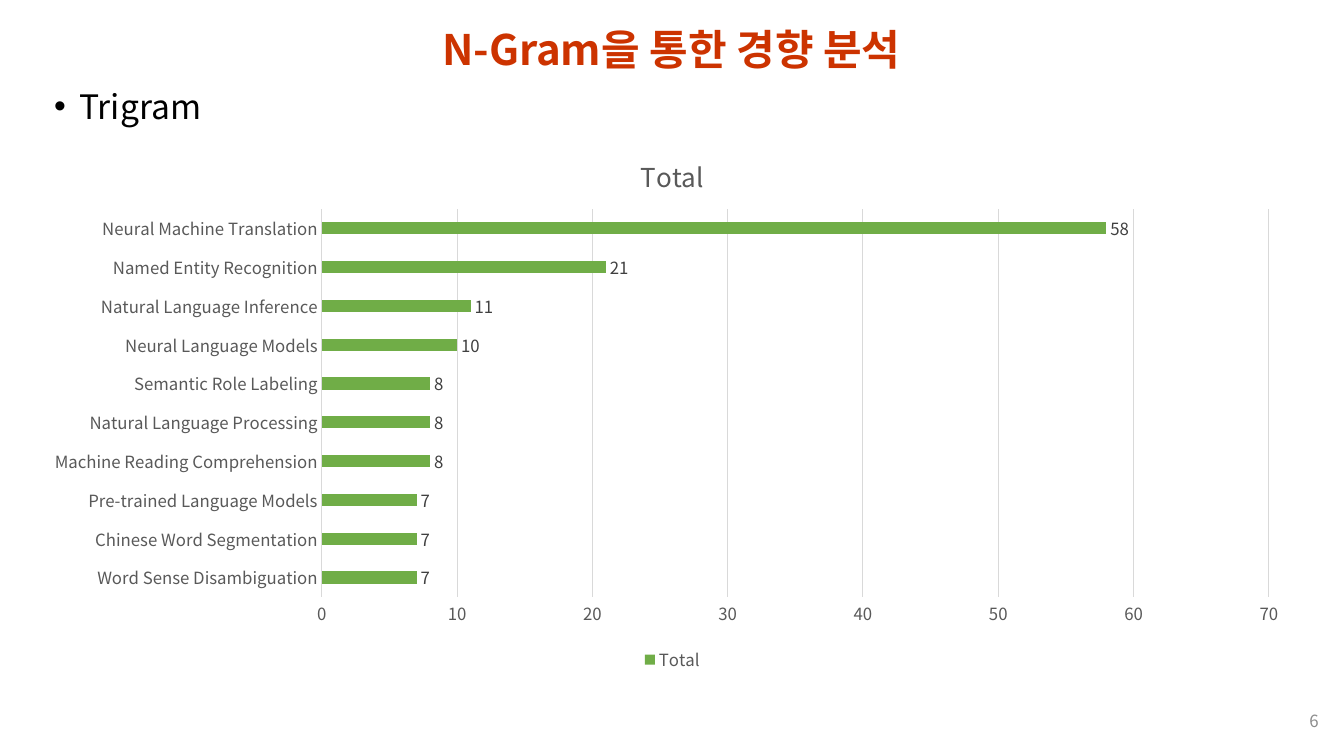
import pptx
import pptx.chart.data
import pptx.dml.color
import pptx.enum.chart
import pptx.enum.text
import pptx.oxml
import pptx.oxml.ns
import pptx.util
from dataclasses import dataclass

Pt = pptx.util.Pt
ALIGN = pptx.enum.text.PP_ALIGN
ANCHOR = pptx.enum.text.MSO_ANCHOR


@dataclass(frozen=True)
class Theme:
    font: str = "Noto Sans CJK KR"
    title_color: str = "CC3300"
    body_color: str = "000000"
    number_color: str = "8C8C8C"
    axis_color: str = "595959"
    label_color: str = "404040"
    grid_color: str = "D9D9D9"
    bar_color: str = "70AD47"
    title_size: float = 30
    body_size: float = 24
    chart_title_size: float = 18.6
    small_size: float = 12


theme = Theme()
rgb = pptx.dml.color.RGBColor.from_string


def style_font(font, size, color, bold=False):
    font.name, font.size, font.bold = theme.font, Pt(size), bold
    font.color.rgb = rgb(color)


def add_text(slide, box, text, size, color, align, anchor, bold=False):
    shape = slide.shapes.add_textbox(*map(Pt, box))
    frame = shape.text_frame
    frame.word_wrap = True
    frame.vertical_anchor = anchor
    paragraph = frame.paragraphs[0]
    paragraph.alignment = align
    run = paragraph.add_run()
    run.text = text
    style_font(run.font, size, color, bold)
    # Korean glyphs take the East Asian typeface
    east_asian = pptx.oxml.parse_xml(
        f'<a:ea {pptx.oxml.ns.nsdecls("a")} typeface="{theme.font}"/>')
    run.font._element.find(pptx.oxml.ns.qn("a:latin")).addnext(east_asian)
    return paragraph


presentation = pptx.Presentation()
presentation.slide_width, presentation.slide_height = Pt(960), Pt(540)
slide = presentation.slides.add_slide(presentation.slide_layouts[6])

# Title
title = add_text(slide, (31.7, 10.8, 895.7, 53.3), "N-Gram을 통한 경향 분석",
                 theme.title_size, theme.title_color, ALIGN.CENTER, ANCHOR.MIDDLE, bold=True)
title.line_spacing = 0.9

# Bullet
bullet = add_text(slide, (31.7, 57.6, 895.7, 395.3), "Trigram",
                  theme.body_size, theme.body_color, ALIGN.LEFT, ANCHOR.TOP)
bullet.space_before = Pt(10)
properties = bullet._p.get_or_add_pPr()
properties.set("marL", str(Pt(18)))
properties.set("indent", str(Pt(-18)))
for tag in ('buFont {} typeface="Arial"', 'buChar {} char="•"'):
    properties.append(pptx.oxml.parse_xml(f'<a:{tag.format(pptx.oxml.ns.nsdecls("a"))}/>'))

# Trigram counts, listed from the bottom bar to the top one
trigram_counts = {
    "Word Sense Disambiguation": 7,
    "Chinese Word Segmentation": 7,
    "Pre-trained Language Models": 7,
    "Machine Reading Comprehension": 8,
    "Natural Language Processing": 8,
    "Semantic Role Labeling": 8,
    "Neural Language Models": 10,
    "Natural Language Inference": 11,
    "Named Entity Recognition": 21,
    "Neural Machine Translation": 58,
}
chart_data = pptx.chart.data.CategoryChartData()
chart_data.categories = list(trigram_counts)
chart_data.add_series("Total", list(trigram_counts.values()))
chart = slide.shapes.add_chart(
    pptx.enum.chart.XL_CHART_TYPE.BAR_CLUSTERED,
    Pt(31.7), Pt(95), Pt(897.1), Pt(388.1), chart_data).chart
style_font(chart.font, 10, theme.body_color)

# Chart title and legend
chart.has_title = True
chart_title = chart.chart_title.text_frame.paragraphs[0].add_run()
chart_title.text = "Total"
style_font(chart_title.font, theme.chart_title_size, theme.axis_color)
chart.chart_title.include_in_layout = False
chart.has_legend = True
chart.legend.position = pptx.enum.chart.XL_LEGEND_POSITION.BOTTOM
chart.legend.include_in_layout = False
style_font(chart.legend.font, theme.small_size, theme.axis_color)

# Axes
for axis in (chart.category_axis, chart.value_axis):
    axis.major_tick_mark = axis.minor_tick_mark = pptx.enum.chart.XL_TICK_MARK.NONE
    style_font(axis.tick_labels.font, theme.small_size, theme.axis_color)
value_axis = chart.value_axis
value_axis.minimum_scale, value_axis.maximum_scale, value_axis.major_unit = 0, 70, 10
value_axis.format.line.fill.background()
value_axis.has_major_gridlines = True
for line in (chart.category_axis.format.line, value_axis.major_gridlines.format.line):
    line.color.rgb = rgb(theme.grid_color)
    line.width = Pt(0.75)

# Bars and value labels
plot = chart.plots[0]
plot.gap_width = 219
plot.vary_by_categories = False
bars = plot.series[0]
bars.format.fill.solid()
bars.format.fill.fore_color.rgb = rgb(theme.bar_color)
labels = bars.data_labels
labels.show_value = True
labels.position = pptx.enum.chart.XL_LABEL_POSITION.OUTSIDE_END
style_font(labels.font, theme.small_size, theme.label_color)

# Inner plot area as fractions of the chart
plot_area = chart._chartSpace.chart.plotArea
for old_layout in plot_area.findall(pptx.oxml.ns.qn("c:layout")):
    plot_area.remove(old_layout)
settings = {"layoutTarget": "inner", "xMode": "edge", "yMode": "edge",
            "x": 0.221, "y": 0.14, "w": 0.754, "h": 0.714}
entries = "".join(f'<c:{name} val="{value}"/>' for name, value in settings.items())
plot_area.insert(0, pptx.oxml.parse_xml(
    f'<c:layout {pptx.oxml.ns.nsdecls("c")}><c:manualLayout>{entries}</c:manualLayout></c:layout>'))

# Slide number
add_text(slide, (733, 500.4, 216, 28.8), "6",
         theme.small_size, theme.number_color, ALIGN.RIGHT, ANCHOR.MIDDLE)

presentation.save("out.pptx")
